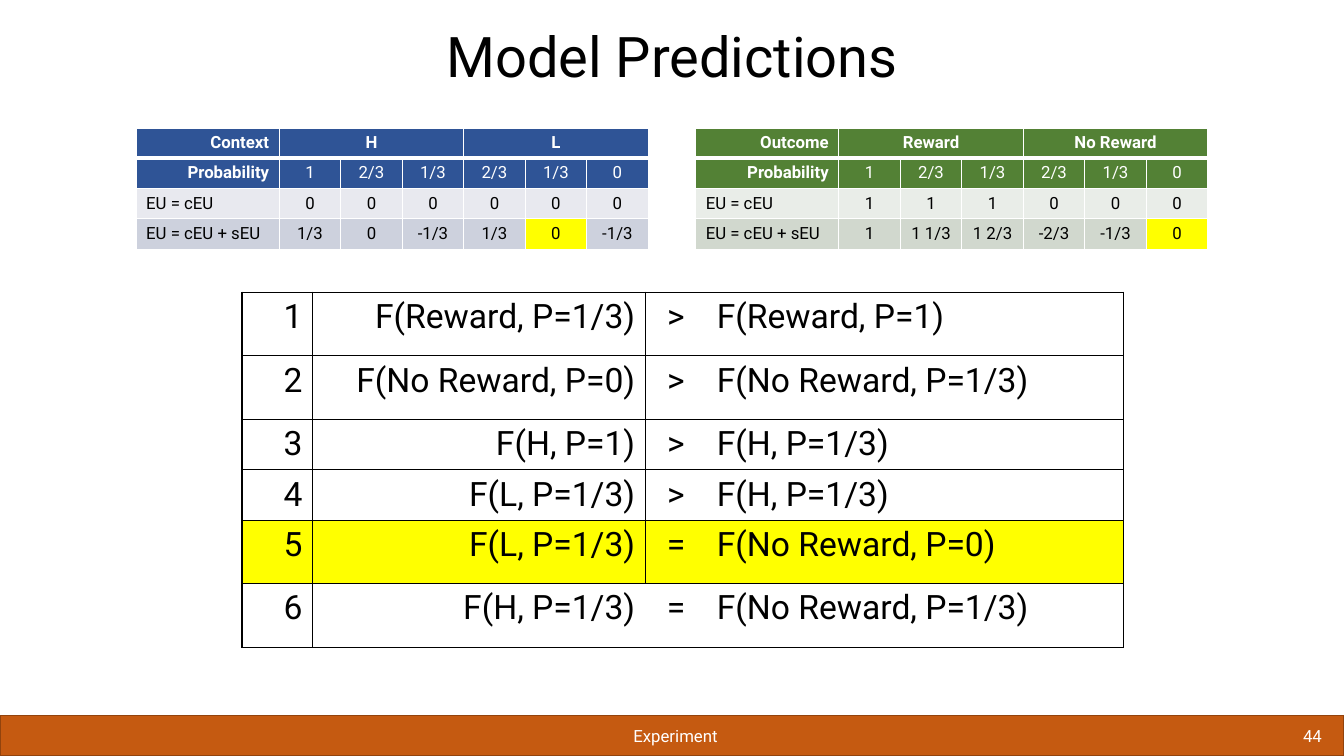
from lxml.etree import SubElement
from pptx import Presentation
from pptx.dml.color import RGBColor
from pptx.enum.shapes import MSO_SHAPE
from pptx.enum.text import MSO_ANCHOR, PP_ALIGN
from pptx.oxml.ns import qn
from pptx.util import Inches, Pt

BLACK = RGBColor(0x00, 0x00, 0x00)
WHITE = RGBColor(0xFF, 0xFF, 0xFF)
YELLOW = RGBColor(0xFF, 0xFF, 0x00)
ORANGE = RGBColor(0xC5, 0x5A, 0x11)
BROWN = RGBColor(0x92, 0x43, 0x0D)
BLUES = [RGBColor(0x2F, 0x54, 0x96)] * 2 + [RGBColor(0xE8, 0xE9, 0xEF), RGBColor(0xCD, 0xD1, 0xDD)]
GREENS = [RGBColor(0x53, 0x81, 0x35)] * 2 + [RGBColor(0xE9, 0xED, 0xE8), RGBColor(0xD1, 0xD8, 0xCE)]

WIDTH, HEIGHT = 13.33, 7.5
LEFT, CENTER, RIGHT = PP_ALIGN.LEFT, PP_ALIGN.CENTER, PP_ALIGN.RIGHT

PROBABILITIES = ["Probability", "1", "2/3", "1/3", "2/3", "1/3", "0"]
CONTEXT = [
    ["Context", "H", "", "", "L", "", ""],
    PROBABILITIES,
    ["EU = cEU", "0", "0", "0", "0", "0", "0"],
    ["EU = cEU + sEU", "1/3", "0", "-1/3", "1/3", "0", "-1/3"],
]
OUTCOME = [
    ["Outcome", "Reward", "", "", "No Reward", "", ""],
    PROBABILITIES,
    ["EU = cEU", "1", "1", "1", "0", "0", "0"],
    ["EU = cEU + sEU", "1", "1 1/3", "1 2/3", "-2/3", "-1/3", "0"],
]
PREDICTIONS = [
    ["1", "F(Reward, P=1/3)", ">", "F(Reward, P=1)"],
    ["2", "F(No Reward, P=0)", ">", "F(No Reward, P=1/3)"],
    ["3", "F(H, P=1)", ">", "F(H, P=1/3)"],
    ["4", "F(L, P=1/3)", ">", "F(H, P=1/3)"],
    ["5", "F(L, P=1/3)", "=", "F(No Reward, P=0)"],
    ["6", "F(H, P=1/3)", "=", "F(No Reward, P=1/3)"],
]


def write(tf, text, size=12, color=BLACK, bold=False, align=LEFT, anchor=MSO_ANCHOR.TOP):
    tf.word_wrap = True
    tf.vertical_anchor = anchor
    p = tf.paragraphs[0]
    p.alignment = align
    r = p.add_run()
    r.text = text
    r.font.name = "Roboto"
    r.font.size = Pt(size)
    r.font.bold = bold
    r.font.color.rgb = color
    return p


def set_borders(cell, color, **widths):
    tc_pr = cell._tc.get_or_add_tcPr()
    for side in "LRTB":
        width = widths.get(side, 0)
        ln = SubElement(tc_pr, qn(f"a:ln{side}"), w=str(Pt(width)))
        if width:
            fill = SubElement(ln, qn("a:solidFill"))
            SubElement(fill, qn("a:srgbClr"), val=str(color))
        else:
            SubElement(ln, qn("a:noFill"))


def set_fill(cell, color):
    cell.fill.solid()
    cell.fill.fore_color.rgb = color


def add_grid(s, left, top, cols, rows):
    frame = s.shapes.add_table(len(rows), len(cols), Inches(left), Inches(top),
                               Inches(sum(cols)), Inches(sum(rows)))
    table = frame.table
    table.first_row = table.horz_banding = False
    for column, width in zip(table.columns, cols):
        column.width = Inches(width)
    for row, height in zip(table.rows, rows):
        row.height = Inches(height)
    return table


def add_utility_table(s, left, top, data, fills, highlight):
    table = add_grid(s, left, top, [1.42] + [0.61] * 6, [0.29] * 4)
    for i, row in enumerate(data):
        for j, text in enumerate(row):
            cell = table.cell(i, j)
            set_borders(cell, WHITE, L=1, R=1, T=3 if i == 1 else 1, B=3 if i == 0 else 1)
            set_fill(cell, YELLOW if (i, j) == highlight else fills[i])
            cell.margin_top = cell.margin_bottom = Inches(0.05)
            if text:
                label_align = RIGHT if i < 2 else LEFT
                write(cell.text_frame, text, color=WHITE if i < 2 else BLACK,
                      bold=i == 0 or (i, j) == (1, 0),
                      align=CENTER if j else label_align)
    for j in (1, 4):
        table.cell(0, j).merge(table.cell(0, j + 2))


def add_prediction_table(s, left, top):
    tall, short = 0.63, 0.49
    table = add_grid(s, left, top, [0.7, 3.3, 0.61, 4.13],
                     [tall, tall, short, short, tall, tall])
    last = len(PREDICTIONS) - 1
    for i, row in enumerate(PREDICTIONS):
        divider = 1 if i < last else 0
        edges = [(1, 1), (1, divider), (divider, 0), (0, 1)]
        for j, (text, align) in enumerate(zip(row, (RIGHT, RIGHT, CENTER, LEFT))):
            cell = table.cell(i, j)
            set_borders(cell, BLACK, L=edges[j][0], R=edges[j][1], T=1, B=1)
            set_fill(cell, YELLOW if i == 4 else WHITE)
            write(cell.text_frame, text, size=24, align=align)


def add_title(s, left, top, width, height):
    sp = s.shapes.title
    sp.left, sp.top, sp.width, sp.height = map(Inches, (left, top, width, height))
    p = write(sp.text_frame, "Model Predictions", size=40, align=CENTER, anchor=MSO_ANCHOR.BOTTOM)
    p.line_spacing = 0.9


def add_footer(s, top, height):
    bar = s.shapes.add_shape(MSO_SHAPE.RECTANGLE, 0, Inches(top), Inches(WIDTH), Inches(height))
    bar.shadow.inherit = False
    bar.fill.solid()
    bar.fill.fore_color.rgb = ORANGE
    bar.line.color.rgb = BROWN
    bar.line.width = Pt(1)
    for text, left, width, align in (("Experiment", 2.24, 8.92, CENTER), ("44", 11.15, 2.06, RIGHT)):
        sp = s.shapes.add_textbox(Inches(left), Inches(top), Inches(width), Inches(height))
        write(sp.text_frame, text, color=WHITE, align=align, anchor=MSO_ANCHOR.MIDDLE)


def main():
    prs = Presentation()
    prs.slide_width, prs.slide_height = Inches(WIDTH), Inches(HEIGHT)
    s = prs.slides.add_slide(prs.slide_layouts[5])
    add_footer(s, HEIGHT - 0.4, 0.4)
    add_title(s, 0.66, 0.23, 12.01, 0.71)
    add_prediction_table(s, 2.4, 2.9)
    add_utility_table(s, 1.35, 1.27, CONTEXT, BLUES, (3, 5))
    add_utility_table(s, 6.9, 1.27, OUTCOME, GREENS, (3, 6))
    prs.save("out.pptx")


if __name__ == "__main__":
    main()
